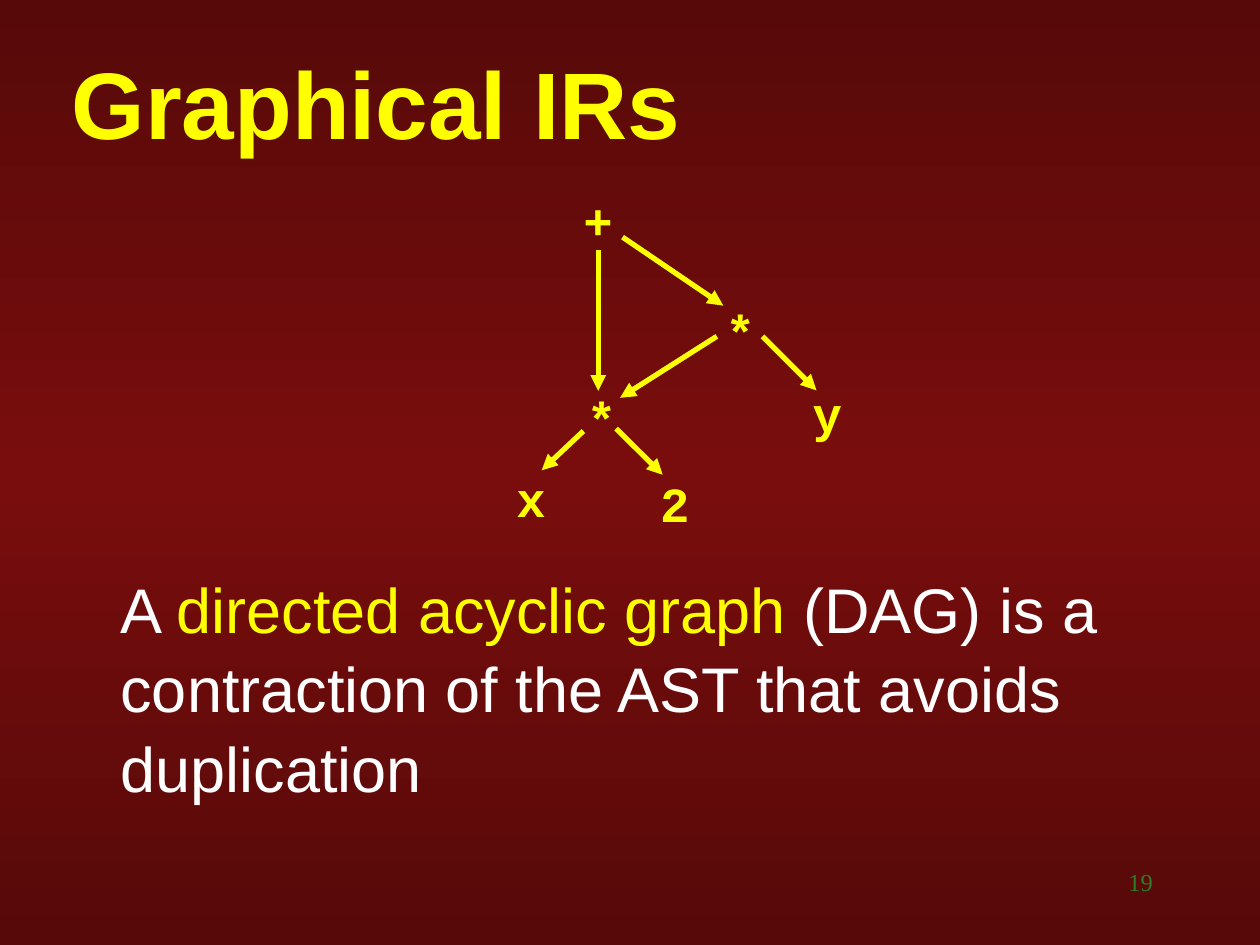
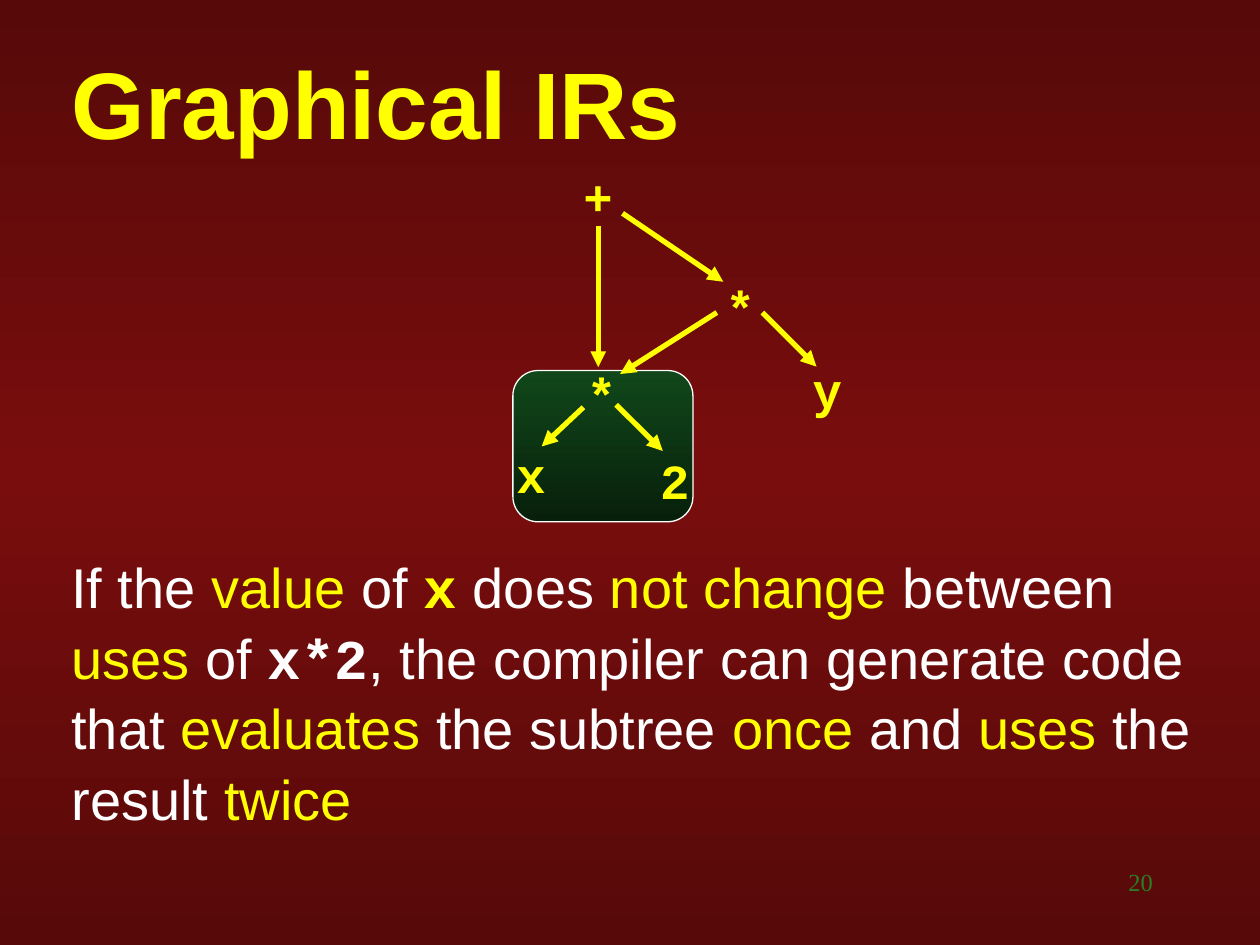
import dataclasses
from typing import Any

import lxml.etree
import pptx
import pptx.dml.color
import pptx.enum.shapes
import pptx.enum.text
import pptx.oxml
import pptx.oxml.ns
import pptx.presentation
import pptx.shapes.autoshape
import pptx.slide
import pptx.text.text
import pptx.util

Cm = pptx.util.Cm
Pt = pptx.util.Pt
qn = pptx.oxml.ns.qn

YELLOW, WHITE, GREEN, SHADE = "FFFF00", "FFFFFF", "2B7D27", "C8C8C8"
BACKDROP = ["570909", "790D0D", "570909"]
SUBTREE_FILL = ["11471A", "07200B"]
SANS, MONO, SERIF = "Arial", "Courier New", "Times New Roman"
LABEL_WIDTH, LABEL_HEIGHT = 1.1, 1.45


@dataclasses.dataclass(frozen=True)
class Box:
    """A rectangle in centimetres."""
    left: float
    top: float
    width: float
    height: float

    def lengths(self) -> list[pptx.util.Length]:
        return [Cm(value) for value in dataclasses.astuple(self)]


@dataclasses.dataclass(frozen=True)
class Node:
    """A graph label; y counts down from the top of the graph."""
    label: str
    x: float
    y: float


@dataclasses.dataclass(frozen=True)
class Edge:
    """An arrow; y values count down from the top of the graph."""
    x1: float
    y1: float
    x2: float
    y2: float


@dataclasses.dataclass(frozen=True)
class Words:
    text: str
    color: str = WHITE
    font: str = SANS
    bold: bool = False


@dataclasses.dataclass(frozen=True)
class Page:
    number: int
    graph_top: float
    body: Box
    body_size: int
    space_after: float
    statement: list[Words]
    subtree: Box | None = None


NODES = [
    Node("+", 11.51, 0),
    Node("*", 14.38, 2.24),
    Node("y", 16.13, 3.89),
    Node("*", 11.58, 3.99),
    Node("2", 13.06, 5.72),
    Node("x", 10.16, 5.61),
]
EDGES = [
    Edge(12.06, 1.33, 12.06, 4.17),
    Edge(12.55, 1.07, 14.58, 2.45),
    Edge(14.45, 3.07, 12.5, 4.31),
    Edge(15.37, 3.07, 16.46, 4.16),
    Edge(11.76, 4.98, 10.92, 5.77),
    Edge(12.42, 4.93, 13.36, 5.86),
]
TITLE_BOX = Box(1.19, 0.99, 23.37, 2.11)
NUMBER_BOX = Box(18.21, 17.35, 5.28, 1.27)

PAGES = [
    Page(19, 3.71, Box(2.18, 11.3, 23.65, 5.26), 36, 22.5, [
        Words("A "),
        Words("directed acyclic graph", YELLOW),
        Words(" (DAG) is a contraction of the AST that avoids \nduplication"),
    ]),
    Page(20, 3.23, Box(1.19, 10.95, 23.65, 6.07), 32, 20, [
        Words("If the "),
        Words("value", YELLOW),
        Words(" of "),
        Words("x", YELLOW, MONO, True),
        Words(" does "),
        Words("not change", YELLOW),
        Words(" between "),
        Words("uses", YELLOW),
        Words(" of "),
        Words("x*2", WHITE, MONO, True),
        Words(", the compiler can generate code that "),
        Words("evaluates", YELLOW),
        Words(" the subtree "),
        Words("once", YELLOW),
        Words(" and "),
        Words("uses", YELLOW),
        Words(" the result "),
        Words("twice", YELLOW),
    ], subtree=Box(10.34, 7.47, 3.63, 3.05)),
]


def rgb(code: str) -> pptx.dml.color.RGBColor:
    return pptx.dml.color.RGBColor.from_string(code)


def apply(target: Any, values: dict[str, Any]) -> None:
    for attribute, value in values.items():
        setattr(target, attribute, value)


def write(paragraph: pptx.text.text._Paragraph, words: Words, size: int) -> None:
    """Append words to a paragraph, with a line break at each newline."""
    for index, line in enumerate(words.text.split("\n")):
        if index:
            paragraph.add_line_break()
        run = paragraph.add_run()
        run.text = line
        apply(run.font, {"name": words.font, "size": Pt(size), "bold": words.bold})
        run.font.color.rgb = rgb(words.color)


def add_text(slide: pptx.slide.Slide, box: Box, statement: list[Words], size: int,
             frame_format: dict[str, Any], paragraph_format: dict[str, Any]) -> None:
    frame = slide.shapes.add_textbox(*box.lengths()).text_frame
    apply(frame, frame_format)
    paragraph = frame.paragraphs[0]
    apply(paragraph, paragraph_format)
    for words in statement:
        write(paragraph, words, size)


def set_gradient(fill: Any, element: Any, colors: list[str]) -> None:
    """Fill from top to bottom with evenly spaced colours."""
    fill.gradient()
    fill.gradient_angle = 270
    stops = element.find(".//" + qn("a:gsLst"))
    for stop in list(stops):
        stops.remove(stop)
    for index, color in enumerate(colors):
        position = str(100000 * index // (len(colors) - 1))
        stop = lxml.etree.SubElement(stops, qn("a:gs"), pos=position)
        lxml.etree.SubElement(stop, qn("a:srgbClr"), val=color)


def add_title(slide: pptx.slide.Slide) -> None:
    title = slide.shapes.title
    apply(title, dict(zip(("left", "top", "width", "height"), TITLE_BOX.lengths())))
    apply(title.text_frame, {
        "vertical_anchor": pptx.enum.text.MSO_ANCHOR.MIDDLE,
        "auto_size": pptx.enum.text.MSO_AUTO_SIZE.NONE,
    })
    paragraph = title.text_frame.paragraphs[0]
    paragraph.alignment = pptx.enum.text.PP_ALIGN.LEFT
    write(paragraph, Words("Graphical IRs", YELLOW, SANS, True), 54)
    effects = pptx.oxml.parse_xml(
        f'<a:effectLst {pptx.oxml.ns.nsdecls("a")}>'
        f'<a:outerShdw dist="17961" dir="2700000"><a:srgbClr val="{SHADE}"/>'
        '</a:outerShdw></a:effectLst>')
    title.element.find(f'.//{qn("a:rPr")}/{qn("a:solidFill")}').addnext(effects)


def add_subtree_panel(slide: pptx.slide.Slide, box: Box) -> None:
    panel = slide.shapes.add_shape(
        pptx.enum.shapes.MSO_SHAPE.ROUNDED_RECTANGLE, *box.lengths())
    panel.shadow.inherit = False
    set_gradient(panel.fill, panel.element, SUBTREE_FILL)
    panel.line.color.rgb = rgb(WHITE)
    panel.line.width = Pt(0.75)


def add_edge(slide: pptx.slide.Slide, edge: Edge, top: float) -> None:
    arrow = slide.shapes.add_connector(
        pptx.enum.shapes.MSO_CONNECTOR.STRAIGHT,
        Cm(edge.x1), Cm(top + edge.y1), Cm(edge.x2), Cm(top + edge.y2))
    arrow.line.color.rgb = rgb(YELLOW)
    arrow.line.width = Pt(3)
    lxml.etree.SubElement(arrow.line._get_or_add_ln(), qn("a:tailEnd"), type="triangle")
    lxml.etree.SubElement(arrow.element.spPr, qn("a:effectLst"))


def add_graph(slide: pptx.slide.Slide, top: float) -> None:
    label_format = {"word_wrap": False,
                    "auto_size": pptx.enum.text.MSO_AUTO_SIZE.SHAPE_TO_FIT_TEXT}
    for node in NODES:
        box = Box(node.x, top + node.y, LABEL_WIDTH, LABEL_HEIGHT)
        add_text(slide, box, [Words(node.label, YELLOW, MONO, True)], 28, label_format, {})
    for edge in EDGES:
        add_edge(slide, edge, top)


def add_page(deck: pptx.presentation.Presentation, page: Page) -> None:
    slide = deck.slides.add_slide(deck.slide_layouts.get_by_name("Title Only"))
    add_title(slide)
    if page.subtree:
        add_subtree_panel(slide, page.subtree)
    add_text(slide, page.body, page.statement, page.body_size, {"word_wrap": True},
             {"space_after": Pt(page.space_after), "line_spacing": 1.05})
    add_graph(slide, page.graph_top)
    add_text(slide, NUMBER_BOX, [Words(str(page.number), GREEN, SERIF)], 14,
             {"word_wrap": True}, {"alignment": pptx.enum.text.PP_ALIGN.RIGHT})


def main() -> None:
    deck = pptx.Presentation()
    apply(deck, {"slide_width": Cm(25.4), "slide_height": Cm(19.05)})
    master = deck.slide_master
    set_gradient(master.background.fill, master.element, BACKDROP)
    for page in PAGES:
        add_page(deck, page)
    deck.save("out.pptx")


if __name__ == "__main__":
    main()
